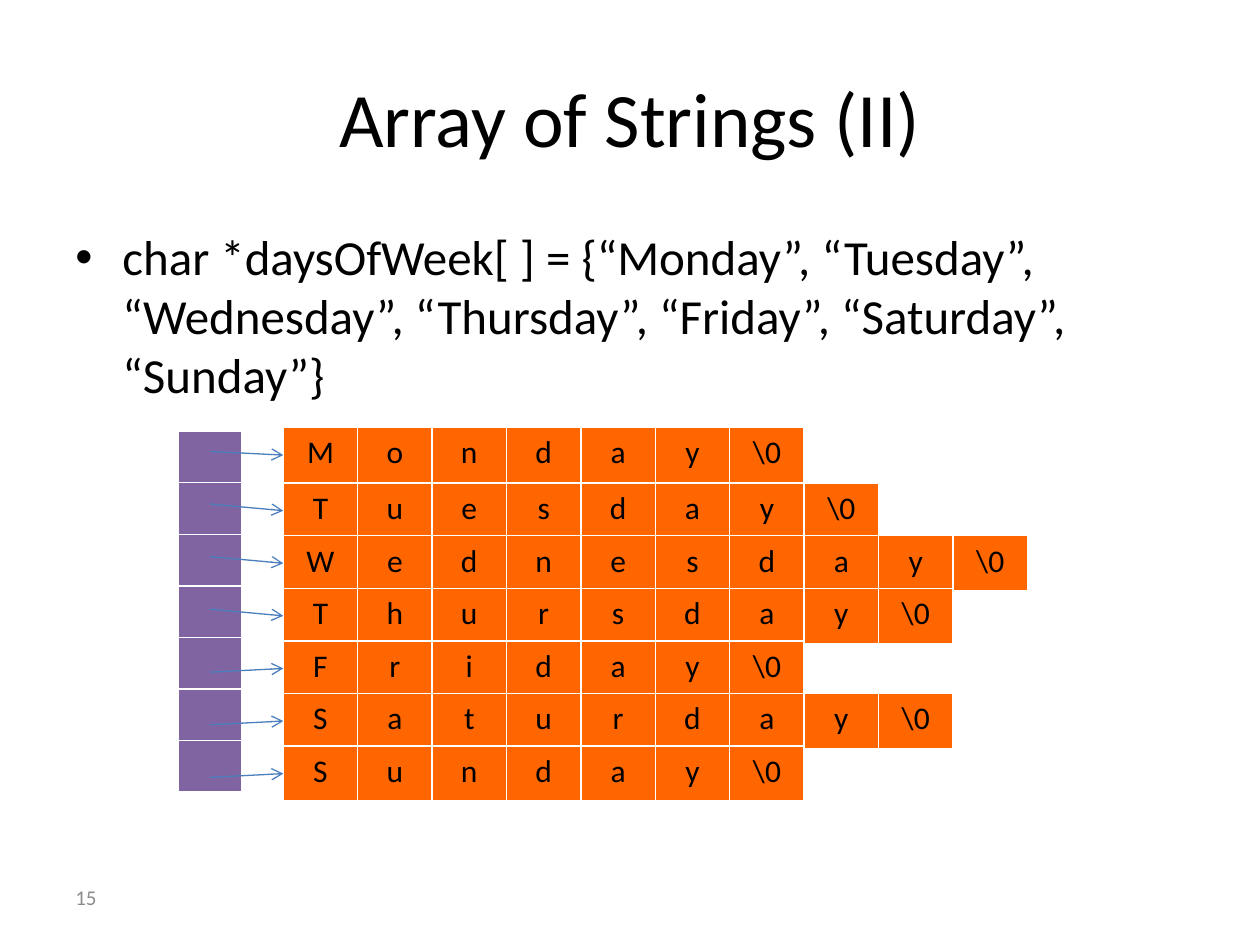
from lxml.etree import SubElement
from pptx import Presentation
from pptx.dml.color import RGBColor
from pptx.enum.shapes import MSO_CONNECTOR as CONN
from pptx.enum.text import MSO_ANCHOR as ANCHOR, PP_ALIGN as ALIGN
from pptx.oxml.ns import qn
from pptx.util import Cm, Pt

COLORS = {"black": "000000", "gray": "8C8C8C", "white": "FFFFFF",
          "pointer": "8064A2", "letter": "FF6600", "arrow": "4B7EBC"}
DAYS = ["Monday", "Tuesday", "Wednesday", "Thursday", "Friday", "Saturday", "Sunday"]
STEP = 1.06
LETTER_W, LETTER_H = 1.5, 1.11


def rgb(name):
    return RGBColor.from_string(COLORS[name])


def write(tf, text, size=18, color="black", align=ALIGN.LEFT, anchor=ANCHOR.TOP, bullet=False):
    tf.word_wrap = True
    tf.vertical_anchor = anchor
    p = tf.paragraphs[0]
    p.alignment = align
    if bullet:
        pPr = p._p.get_or_add_pPr()
        pPr.set("marL", str(Cm(0.95)))
        pPr.set("indent", str(Cm(-0.95)))
        SubElement(pPr, qn("a:buFont"), typeface="Arial")
        SubElement(pPr, qn("a:buChar"), char="•")
    r = p.add_run()
    r.text = text
    r.font.name = "Calibri"
    r.font.size = Pt(size)
    r.font.color.rgb = rgb(color)


def add_text(s, box, text, **fmt):
    tb = s.shapes.add_textbox(*map(Cm, box))
    write(tb.text_frame, text, **fmt)


def style_cell(cell, fill):
    tcPr = cell._tc.get_or_add_tcPr()
    for side in ("lnL", "lnR", "lnT", "lnB"):
        ln = SubElement(tcPr, qn(f"a:{side}"), w=str(Pt(1)))
        solid = SubElement(ln, qn("a:solidFill"))
        SubElement(solid, qn("a:srgbClr"), val=COLORS["white"])
    cell.fill.solid()
    cell.fill.fore_color.rgb = rgb(fill)


def add_cells(s, x, y, rows, cols, w, h, fill):
    table = s.shapes.add_table(rows, cols, Cm(x), Cm(y), Cm(w * cols), Cm(h * rows)).table
    for col in table.columns:
        col.width = Cm(w)
    for row in table.rows:
        row.height = Cm(h)
    for cell in table.iter_cells():
        style_cell(cell, fill)
    return table


def add_day(s, x, y, day):
    chars = [*day, "\\0"]
    table = add_cells(s, x, y, 1, len(chars), LETTER_W, LETTER_H, "letter")
    for cell, char in zip(table.iter_cells(), chars):
        write(cell.text_frame, char, align=ALIGN.CENTER)


def add_arrow(s, x1, y1, x2, y2):
    c = s.shapes.add_connector(CONN.STRAIGHT, Cm(x1), Cm(y1), Cm(x2), Cm(y2))
    c.line.color.rgb = rgb("arrow")
    c.line.width = Pt(0.75)
    SubElement(c.line._get_or_add_ln(), qn("a:tailEnd"), type="arrow")
    SubElement(c._element.spPr, qn("a:effectLst"))


def add_string_array(s, x, y):
    letters_x = x + 2.11
    tops = [y - 0.07] + [y + 1.05 + STEP * i for i in range(len(DAYS) - 1)]
    add_cells(s, x, y, len(DAYS), 1, 1.27, 1.04, "pointer")
    for top, day in zip(tops, DAYS):
        add_day(s, letters_x, top, day)
    for i, top in enumerate(tops):
        start = y + 0.41 + STEP * i + (0.21 if i > 3 else 0)
        add_arrow(s, x + 0.63, start, letters_x, top + LETTER_H / 2)


def main():
    prs = Presentation()
    prs.slide_width, prs.slide_height = Cm(25.4), Cm(19.05)
    s = prs.slides.add_slide(prs.slide_layouts[6])
    add_text(s, (1.27, 0.76, 22.86, 3.18), "Array of Strings (II)",
             size=44, align=ALIGN.CENTER, anchor=ANCHOR.MIDDLE)
    names = ", ".join(f"“{day}”" for day in DAYS)
    add_text(s, (1.27, 4.45, 22.86, 12.57), f"char *daysOfWeek[ ] = {{{names}}}",
             size=28, bullet=True)
    add_text(s, (1.27, 17.58, 5.92, 1.02), "15", size=12, color="gray", anchor=ANCHOR.MIDDLE)
    add_string_array(s, 3.6, 8.69)
    prs.save("out.pptx")


if __name__ == "__main__":
    main()
